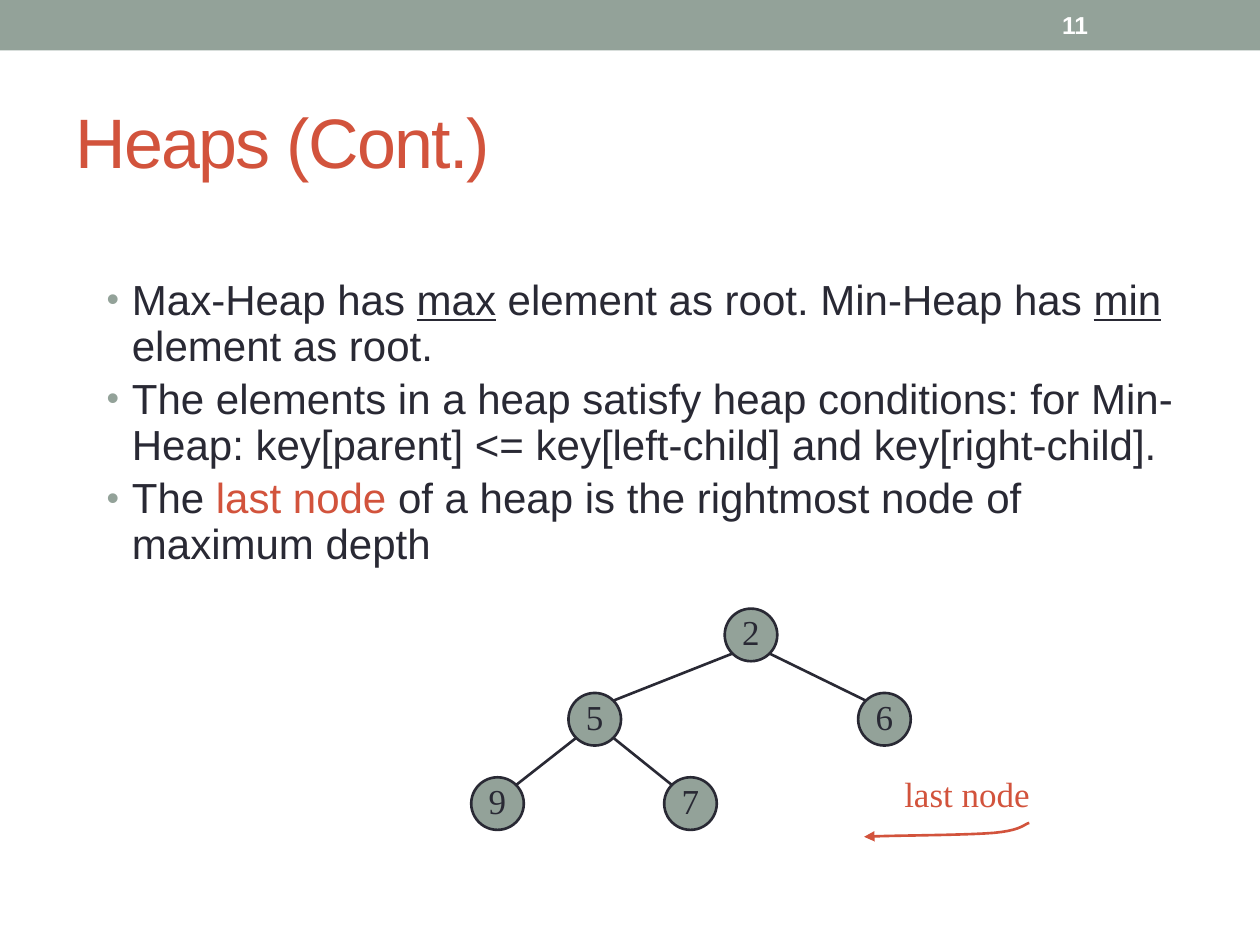
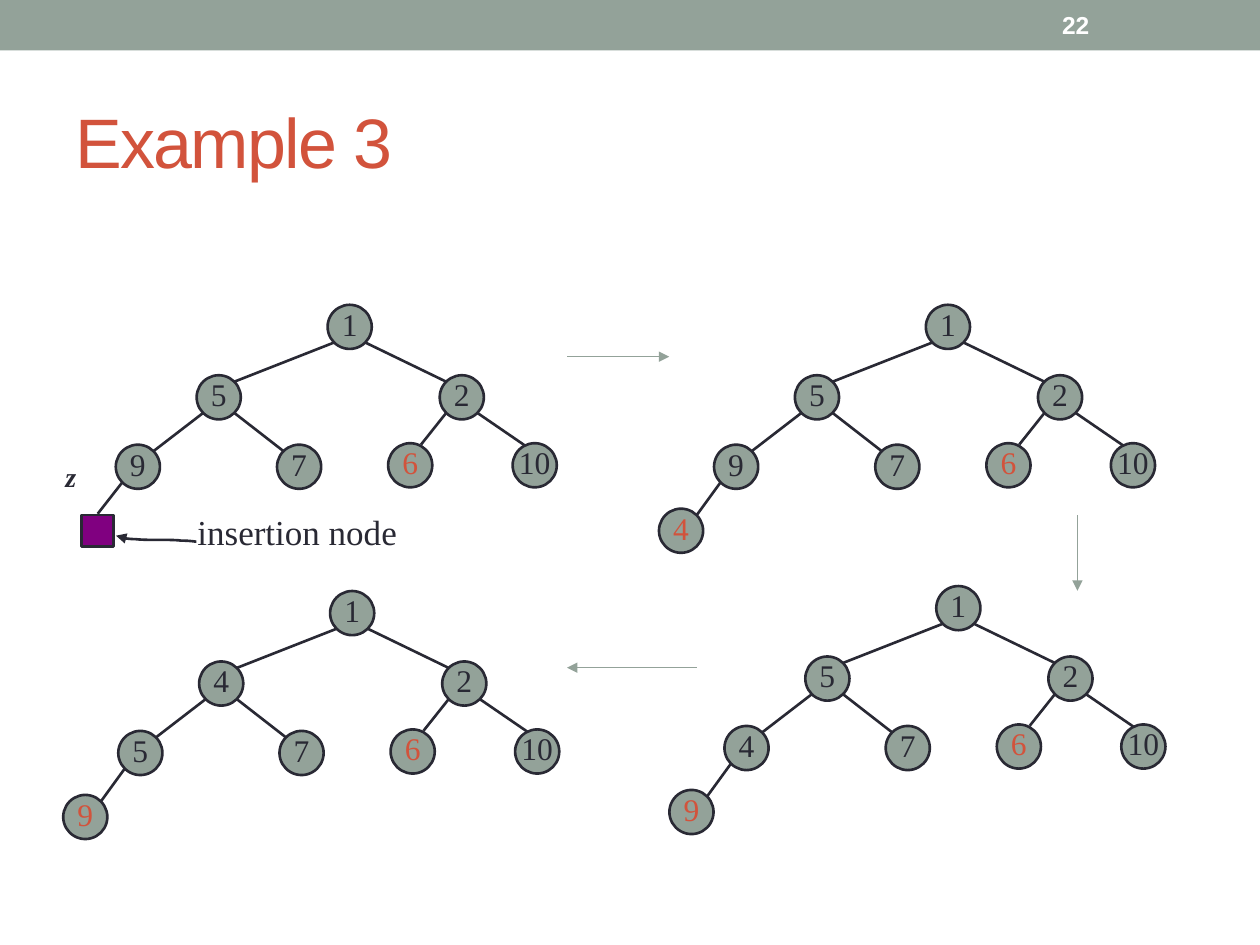
import lxml.etree
import pptx
import pptx.dml.color
import pptx.enum.shapes
import pptx.enum.text
import pptx.oxml.ns
import pptx.util

Cm = pptx.util.Cm
Pt = pptx.util.Pt
RGB = pptx.dml.color.RGBColor
SHAPE = pptx.enum.shapes.MSO_SHAPE
ANCHOR = pptx.enum.text.MSO_ANCHOR
ALIGN = pptx.enum.text.PP_ALIGN
FIT = pptx.enum.text.MSO_AUTO_SIZE

SAGE = RGB(0x93, 0xA2, 0x99)
INK = RGB(0x29, 0x29, 0x34)
RED = RGB(0xD2, 0x53, 0x3C)
PURPLE = RGB(0x80, 0x00, 0x80)
WHITE = RGB(0xFF, 0xFF, 0xFF)
SANS = "Arial"
SERIF = "Times New Roman"

SMALL = [(5.64, 0.53), (2.49, 2.23), (8.33, 2.23), (0.53, 3.93), (4.42, 3.93)]
LARGE = [(5.83, 0.45), (3.19, 1.87), (8.09, 1.87), (1.56, 3.27),
         (4.81, 3.27), (7.05, 3.24), (9.56, 3.24), (0.45, 4.56)]
TIPS = {5: (0.49, -0.94), 6: (-0.26, -0.77)}
SQUARE = (0.75, 4.56)


def add_tag(parent, tag, **attrs):
    node = lxml.etree.SubElement(parent, pptx.oxml.ns.qn(tag))
    for key, value in attrs.items():
        node.set(key, value)
    return node


def add_run(para, text, size, color, font=SERIF, **style):
    run = para.add_run()
    run.text = text
    run.font.name = font
    run.font.size = Pt(size)
    run.font.color.rgb = color
    for key, value in style.items():
        setattr(run.font, key, value)
    return run


def add_box(slide, left, top, width, height, wrap=True):
    box = slide.shapes.add_textbox(Cm(left), Cm(top), Cm(width), Cm(height))
    box.text_frame.word_wrap = wrap
    return box.text_frame


def set_line(shape, color, width, arrow=False):
    shape.line.color.rgb = color
    shape.line.width = Pt(width)
    if arrow:
        line = shape._element.spPr.find(pptx.oxml.ns.qn("a:ln"))
        add_tag(line, "a:tailEnd", type="triangle")


def add_line(slide, start, end, color=INK, width=1.5, arrow=False):
    line = slide.shapes.add_connector(
        pptx.enum.shapes.MSO_CONNECTOR.STRAIGHT,
        *(Cm(value) for value in (*start, *end)))
    set_line(line, color, width, arrow)
    add_tag(line._element.spPr, "a:effectLst")


def add_form(slide, kind, left, top, width, height, fill):
    form = slide.shapes.add_shape(kind, Cm(left), Cm(top), Cm(width), Cm(height))
    form.shadow.inherit = False
    form.fill.solid()
    form.fill.fore_color.rgb = fill
    return form


def add_frame(deck, title, number):
    slide = deck.slides.add_slide(deck.slide_layouts[5])
    add_form(slide, SHAPE.RECTANGLE, 0, 0, 25.4, 1.02, SAGE).line.fill.background()
    head = slide.shapes.title
    head.left, head.top, head.width, head.height = (
        Cm(1.27), Cm(1.47), Cm(22.86), Cm(2.74))
    frame = head.text_frame
    frame.auto_size = FIT.NONE
    frame.vertical_anchor = ANCHOR.MIDDLE
    para = frame.paragraphs[0]
    para.alignment = ALIGN.LEFT
    run = add_run(para, title, 40, RED, SANS)
    run._r.get_or_add_rPr().set("spc", "-100")
    page = add_box(slide, 21.16, 0.05, 2.97, 0.91)
    page.vertical_anchor = ANCHOR.MIDDLE
    add_run(page.paragraphs[0], number, 14, WHITE, SANS, bold=True)
    return slide


def add_points(slide, left, top, width, height, points):
    frame = add_box(slide, left, top, width, height)
    for index, point in enumerate(points):
        para = frame.add_paragraph() if index else frame.paragraphs[0]
        para.line_spacing = 0.9
        para.space_before = Pt(4.8 if index else 0)
        props = para._p.get_or_add_pPr()
        props.set("marL", str(Cm(0.51)))
        props.set("indent", str(-Cm(0.51)))
        add_tag(add_tag(props, "a:buClr"), "a:srgbClr", val=str(SAGE))
        add_tag(props, "a:buSzPct", val="85000")
        add_tag(props, "a:buFont", typeface=SANS)
        add_tag(props, "a:buChar", char="•")
        for text, color, under in point:
            add_run(para, text, 24, color, SANS, underline=under)


def add_node(slide, x, y, radius, text, size, color):
    node = add_form(slide, SHAPE.OVAL, x - radius, y - radius,
                    2 * radius, 2 * radius, SAGE)
    set_line(node, INK, 1.5)
    frame = node.text_frame
    frame.margin_left = frame.margin_right = frame.margin_top = 0
    frame.margin_bottom = Cm(0.13)
    frame.word_wrap = False
    frame.vertical_anchor = ANCHOR.MIDDLE
    frame.paragraphs[0].alignment = ALIGN.CENTER
    add_run(frame.paragraphs[0], text, size, color)


def add_edge(slide, parent, child, radius, side, tip=None):
    tip = tip or (-0.71 * side, -0.71)
    start = (parent[0] + 0.71 * side * radius, parent[1] + 0.71 * radius)
    end = (child[0] + tip[0] * radius, child[1] + tip[1] * radius)
    add_line(slide, start, end)


def add_tree(slide, left, top, spots, keys, radius, size, reds=(), tips={}):
    spots = [(left + x, top + y) for x, y in spots]
    for index in range(1, len(keys)):
        side = -1 if index % 2 else 1
        add_edge(slide, spots[(index - 1) // 2], spots[index], radius, side,
                 tips.get(index))
    for index, (spot, key) in enumerate(zip(spots, keys)):
        add_node(slide, *spot, radius, key, size, RED if index in reds else INK)


def add_gap(slide, left, top, radius):
    x, y = left + SQUARE[0], top + SQUARE[1]
    parent = (left + LARGE[3][0], top + LARGE[3][1])
    add_edge(slide, parent, (x, y), radius, -1, (0, -0.77))
    square = add_form(slide, SHAPE.RECTANGLE, x - 0.32, y - 0.32, 0.64, 0.64, PURPLE)
    set_line(square, INK, 1.5)


def trace_curve(knots, steps=10):
    trail = [knots[0]]
    for base in range(0, len(knots) - 1, 3):
        part = knots[base:base + 4]
        for step in range(1, steps + 1):
            t = step / steps
            shares = ((1 - t) ** 3, 3 * t * (1 - t) ** 2, 3 * t * t * (1 - t), t ** 3)
            trail.append(tuple(sum(share * knot[axis]
                                   for share, knot in zip(shares, part))
                               for axis in (0, 1)))
    return trail


def add_callout(slide, left, top, width, text, color, knots):
    frame = add_box(slide, left, top, width, 1.09, wrap=False)
    add_run(frame.paragraphs[0], text, 20, color)
    trail = [(Cm(left + x), Cm(top + y)) for x, y in trace_curve(knots)]
    pen = slide.shapes.build_freeform(*trail[0], scale=1.0)
    pen.add_line_segments(trail[1:], close=False)
    curve = pen.convert_to_shape()
    curve.shadow.inherit = False
    curve.fill.background()
    set_line(curve, color, 1.5, arrow=True)


def build_heaps(deck):
    slide = add_frame(deck, "Heaps (Cont.)", "11")
    add_points(slide, 1.9, 5.51, 22.23, 11.43, [
        [("Max-Heap has ", INK, False), ("max", INK, True),
         (" element as root. Min-Heap has ", INK, False), ("min", INK, True),
         (" element as root.", INK, False)],
        [("The elements in a heap satisfy heap conditions: for Min-Heap: "
          "key[parent] <= key[left-child] and key[right-child].", INK, False)],
        [("The", INK, False), (" last node", RED, False),
         (" of a heap is the rightmost node of maximum depth", INK, False)],
    ])
    add_tree(slide, 9.5, 12.27, SMALL, ["2", "5", "6", "9", "7"], 0.53, 20)
    add_callout(slide, 17.98, 15.44, 3.35, "last node", RED, [
        (2.77, 1.15), (2.67, 1.17), (2.62, 1.3), (2.06, 1.35),
        (1.5, 1.4), (0, 1.4), (-0.56, 1.43)])


def build_sample(deck):
    slide = add_frame(deck, "Example 3", "22")
    radius = 0.445
    trees = [
        (1.22, 6.14, "1 5 2 9 7 6 10"),
        (13.28, 6.14, "1 5 2 9 7 6 10 4"),
        (13.49, 11.81, "1 5 2 4 7 6 10 9"),
        (1.27, 11.91, "1 4 2 5 7 6 10 9"),
    ]
    for left, top, keys in trees:
        add_tree(slide, left, top, LARGE, keys.split(), radius, 18, (5, 7), TIPS)
    add_gap(slide, *trees[0][:2], radius)
    add_callout(slide, 3.73, 10.16, 4.93, "insertion node", INK, [
        (0.23, 0.76), (0.18, 0.76), (0.13, 0.74), (-0.07, 0.74),
        (-0.28, 0.71), (-0.76, 0.74), (-0.99, 0.71),
        (-1.22, 0.71), (-1.32, 0.66), (-1.39, 0.64)])
    mark = add_box(slide, 1.07, 9.14, 0.84, 1.27, wrap=False)
    add_run(mark.paragraphs[0], "z", 16, INK, bold=True, italic=True)
    for start, end in [((11.43, 7.19), (13.49, 7.19)),
                       ((21.72, 10.39), (21.72, 11.91)),
                       ((14.05, 13.46), (11.43, 13.46))]:
        add_line(slide, start, end, SAGE, 0.75, arrow=True)


def main():
    deck = pptx.Presentation()
    deck.slide_width, deck.slide_height = Cm(25.4), Cm(19.05)
    build_heaps(deck)
    build_sample(deck)
    deck.save("out.pptx")


if __name__ == "__main__":
    main()
